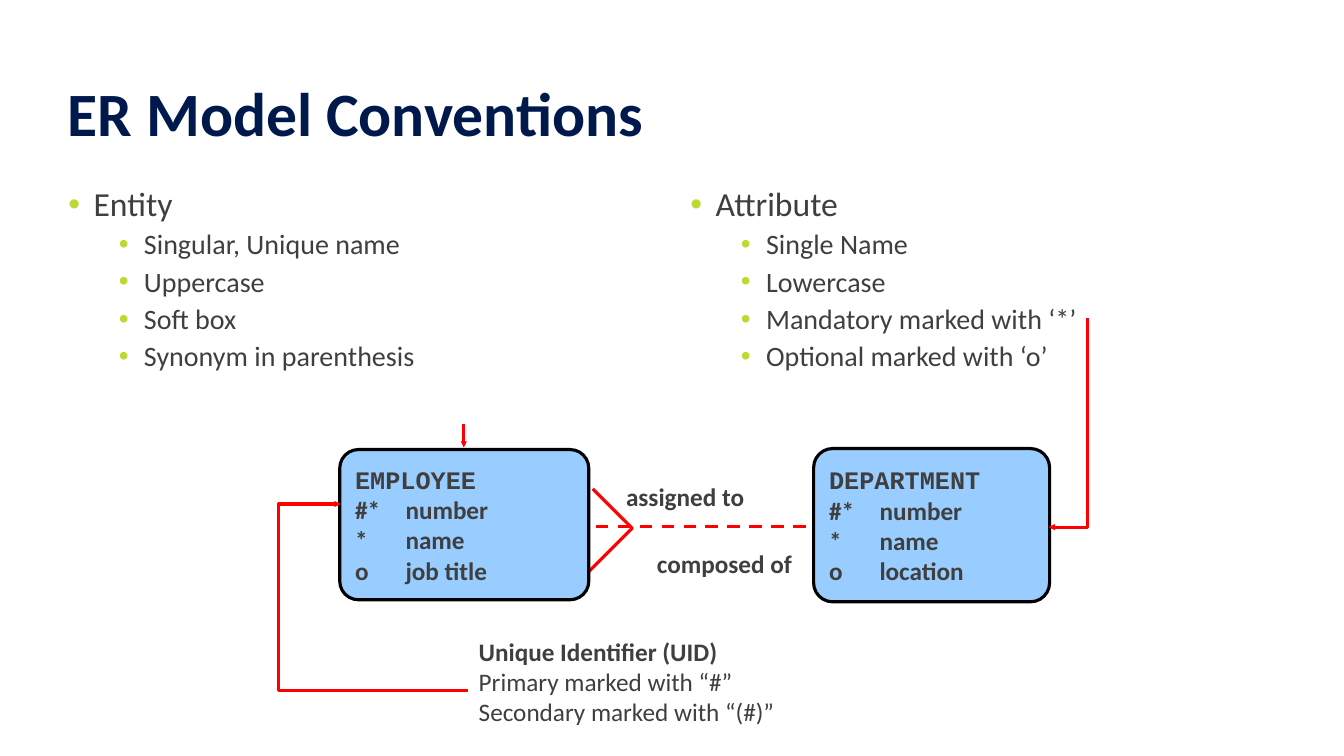
from lxml import etree
from pptx import Presentation
from pptx.dml.color import RGBColor
from pptx.enum.dml import MSO_LINE
from pptx.enum.shapes import MSO_CONNECTOR, MSO_SHAPE
from pptx.enum.text import MSO_ANCHOR, MSO_AUTO_SIZE, PP_ALIGN
from pptx.oxml.ns import qn
from pptx.util import Inches, Pt

NAVY = RGBColor(0x00, 0x19, 0x4C)
GRAY = RGBColor(0x3F, 0x3F, 0x3F)
RED = RGBColor(0xFF, 0x00, 0x00)
BLACK = RGBColor(0x00, 0x00, 0x00)
LIGHT_BLUE = RGBColor(0x99, 0xCC, 0xFF)
LIME = RGBColor(0xBF, 0xD7, 0x31)

STRAIGHT = MSO_CONNECTOR.STRAIGHT
ROUNDED = MSO_SHAPE.ROUNDED_RECTANGLE
DASH = MSO_LINE.DASH
TOP, MIDDLE, BOTTOM = MSO_ANCHOR.TOP, MSO_ANCHOR.MIDDLE, MSO_ANCHOR.BOTTOM
LEFT, CENTER = PP_ALIGN.LEFT, PP_ALIGN.CENTER
NO_FIT = MSO_AUTO_SIZE.NONE
TITLE_ONLY = 5


def format_paragraph(p, size, bold=False, color=GRAY, font="Calibri", align=LEFT):
    p.alignment = align
    for r in p.runs:
        r.font.name = font
        r.font.size = Pt(size)
        r.font.bold = bold
        r.font.color.rgb = color


def set_frame(tf, anchor=TOP):
    tf.word_wrap = True
    tf.auto_size = NO_FIT
    tf.vertical_anchor = anchor


def add_text(slide, box, lines, align=LEFT):
    """Text box whose first line is bold."""
    tf = slide.shapes.add_textbox(*map(Inches, box)).text_frame
    set_frame(tf)
    tf.text = "\n".join(lines)
    for i, p in enumerate(tf.paragraphs):
        format_paragraph(p, 18, bold=i == 0, align=align)


def set_bullet(p, margin):
    pPr = p._p.get_or_add_pPr()
    pPr.set("marL", str(Inches(margin)))
    pPr.set("indent", str(-Inches(0.25)))
    color = etree.SubElement(pPr, qn("a:buClr"))
    etree.SubElement(color, qn("a:srgbClr"), val=str(LIME))
    etree.SubElement(pPr, qn("a:buFont"), typeface="Arial")
    etree.SubElement(pPr, qn("a:buChar"), char="•")


def add_bullets(slide, left, heading, items):
    tf = slide.shapes.add_textbox(*map(Inches, (left, 1.81, 5.67, 4.95))).text_frame
    set_frame(tf)
    tf.text = "\n".join([heading, *items])
    for i, p in enumerate(tf.paragraphs):
        p.level = 1 if i else 0
        p.line_spacing = 0.9
        p.space_before = Pt(5 if i else 10)
        format_paragraph(p, 20 if i else 24)
        set_bullet(p, 0.75 if i else 0.25)


def add_entity(slide, box, name, attributes):
    s = slide.shapes.add_shape(ROUNDED, *map(Inches, box))
    s.adjustments[0] = 0.124
    s.shadow.inherit = False
    s.fill.solid()
    s.fill.fore_color.rgb = LIGHT_BLUE
    s.line.color.rgb = BLACK
    s.line.width = Pt(2.25)
    tf = s.text_frame
    set_frame(tf, MIDDLE)
    tf.text = "\n".join([name] + [f"{mark}\t{attribute}" for mark, attribute in attributes])
    for i, p in enumerate(tf.paragraphs):
        format_paragraph(p, 18, bold=True, font="Calibri" if i else "Courier New")
    return s


def style_line(s, arrow):
    s.line.color.rgb = RED
    s.line.width = Pt(2.25)
    if arrow:
        etree.SubElement(s.line._get_or_add_ln(), qn("a:tailEnd"),
                         type="triangle", w="sm", len="sm")


def add_line(slide, start, end, arrow=False):
    c = slide.shapes.add_connector(STRAIGHT, *map(Inches, (*start, *end)))
    style_line(c, arrow)
    etree.SubElement(c._element.spPr, qn("a:effectLst"))
    return c


def add_polyline(slide, points, arrow=False):
    start, *rest = [(Inches(x), Inches(y)) for x, y in points]
    builder = slide.shapes.build_freeform(*start, scale=1.0)
    builder.add_line_segments(rest, close=False)
    s = builder.convert_to_shape()
    s.fill.background()
    style_line(s, arrow)
    s.shadow.inherit = False


def main():
    prs = Presentation()
    prs.slide_width, prs.slide_height = Inches(13.33), Inches(7.5)
    slide = prs.slides.add_slide(prs.slide_layouts[TITLE_ONLY])

    # Title
    title = slide.shapes.title
    title.left, title.top, title.width, title.height = map(Inches, (0.57, 0.23, 9.11, 1.26))
    tf = title.text_frame
    set_frame(tf, BOTTOM)
    tf.margin_bottom = 0
    tf.text = "ER Model Conventions"
    tf.paragraphs[0].line_spacing = 0.9
    format_paragraph(tf.paragraphs[0], 44, bold=True, color=NAVY)

    # Convention lists
    add_bullets(slide, 0.58, "Entity", ["Singular, Unique name", "Uppercase", "Soft box",
                                        "Synonym in parenthesis"])
    add_bullets(slide, 6.75, "Attribute", ["Single Name", "Lowercase",
                                           "Mandatory marked with ‘*’",
                                           "Optional marked with ‘o’"])

    # Relationship line and crow's foot, behind the entities
    relationship = add_line(slide, (8.21, 5.22), (5.55, 5.22))
    relationship.line.dash_style = DASH
    add_polyline(slide, [(5.88, 4.85), (6.27, 5.24), (5.77, 5.74)])

    # Entities
    add_entity(slide, (3.37, 4.46, 2.47, 1.49), "EMPLOYEE",
               [("#* ", "number"), ("*", "name"), ("o", "job title")])
    add_entity(slide, (8.07, 4.45, 2.34, 1.52), "DEPARTMENT",
               [("#* ", "number"), ("*", "name"), ("o", "location")])

    # Arrows from the conventions to the entities
    add_polyline(slide, [(10.79, 3.16), (10.79, 5.23), (10.4, 5.23)], arrow=True)
    add_line(slide, (4.6, 4.21), (4.6, 4.44), arrow=True)
    add_polyline(slide, [(4.64, 6.85), (2.76, 6.85), (2.76, 5), (3.38, 5)], arrow=True)

    # Relationship names and identifier note
    add_text(slide, (6, 4.73, 1.59, 0.4), ["assigned to"], CENTER)
    add_text(slide, (5.86, 5.39, 2.65, 0.4), ["composed of"], CENTER)
    add_text(slide, (4.65, 6.26, 3.77, 1.01), ["Unique Identifier (UID)",
                                               "Primary marked with “#”",
                                               "Secondary marked with “(#)”"])

    prs.save("out.pptx")


if __name__ == "__main__":
    main()
